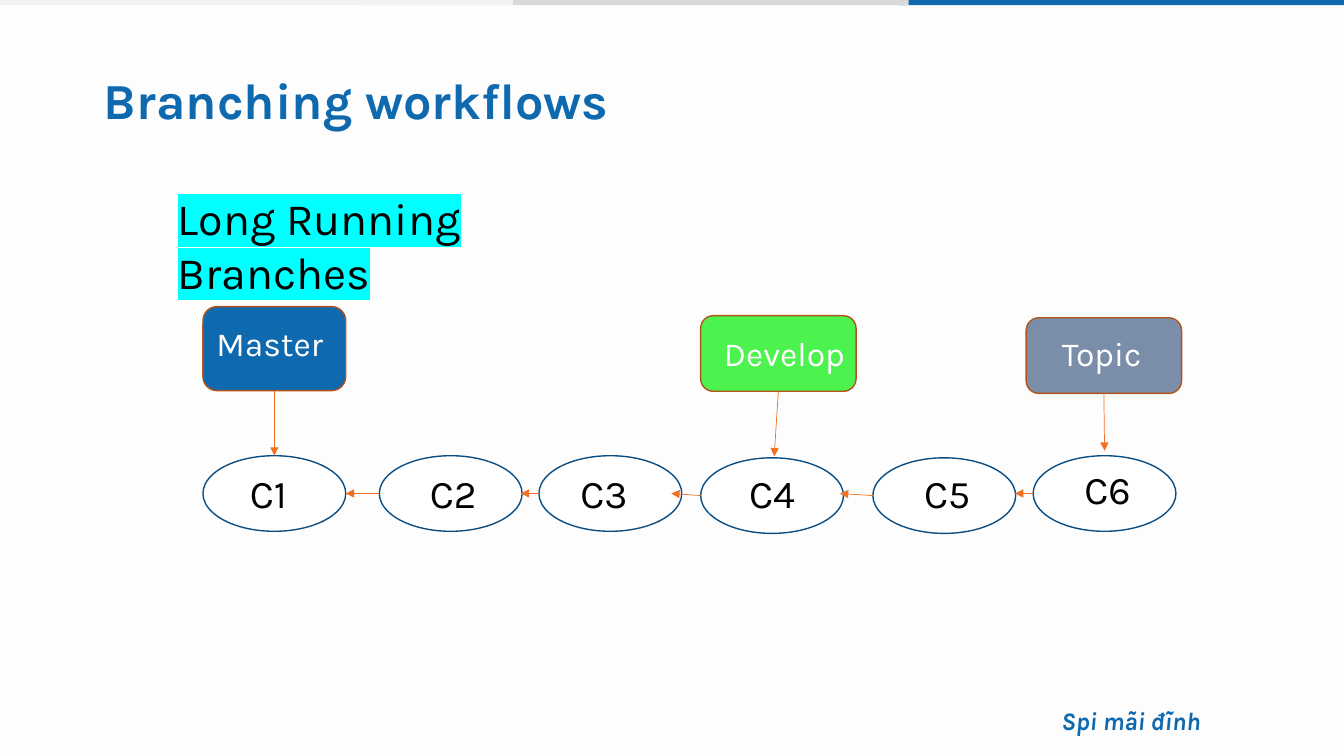
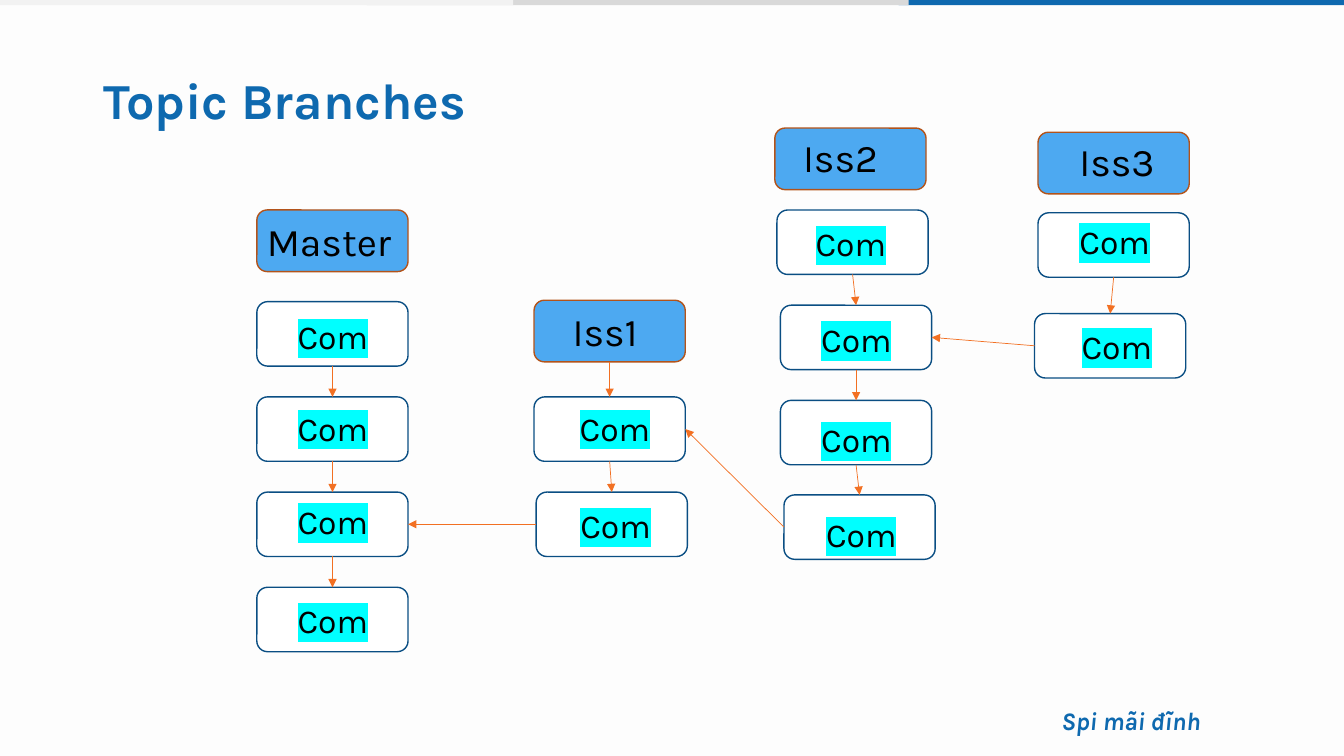
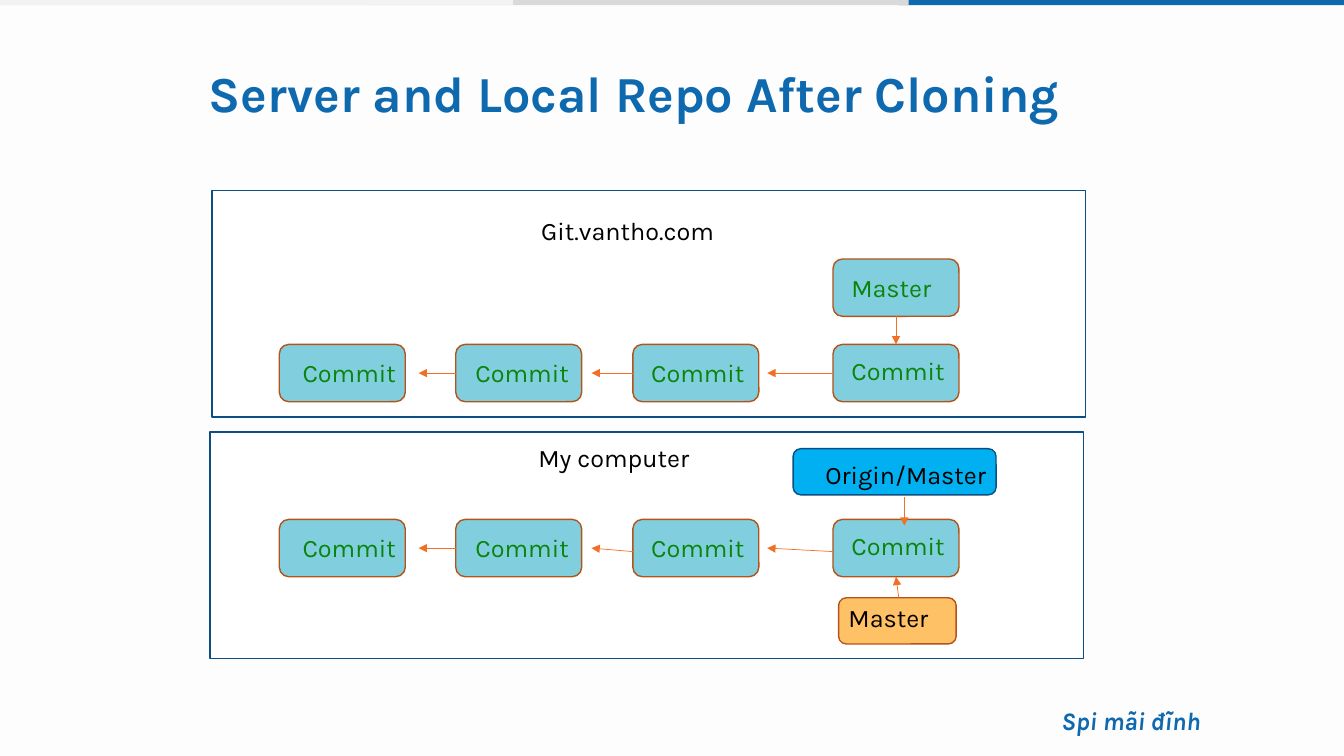
import pptx
import pptx.dml.color
import pptx.enum.shapes
import pptx.enum.text
import pptx.oxml.ns
import pptx.oxml.xmlchemy
import pptx.util
from lxml import etree
from dataclasses import dataclass
from typing import Any, List, NamedTuple, Optional, Tuple, Union

Pt = pptx.util.Pt
Kind = pptx.enum.shapes.MSO_SHAPE
qn = pptx.oxml.ns.qn

TOP, LEFT, BOTTOM, RIGHT = range(4)


# Theme
@dataclass(frozen=True)
class Theme:
    face: str = "Karla"
    paper: str = "FDFDFD"
    white: str = "FFFFFF"
    black: str = "000000"
    blue: str = "0E69AF"
    navy: str = "0A4E83"
    rust: str = "B3531A"
    orange: str = "F27023"
    silver: str = "D9D9D9"
    mist: str = "F2F2F2"
    cyan: str = "00FFFF"
    lime: str = "4CF24E"
    slate: str = "7A8EAA"
    sky: str = "4DA9F1"
    teal: str = "81CFDE"
    green: str = "0A840B"
    azure: str = "00B0F0"
    amber: str = "FFC165"
    title_size: float = 36
    heading_size: float = 32
    large_size: float = 28
    medium_size: float = 24
    small_size: float = 18


THEME = Theme()


# Records, with all lengths in points
class Area(NamedTuple):
    left: float
    top: float
    width: float
    height: float


class Point(NamedTuple):
    x: float
    y: float


class Joint(NamedTuple):
    shape: Any
    side: int


End = Union[Point, Joint]


@dataclass(frozen=True)
class Look:
    kind: Any
    fill: str
    line: Optional[str] = None


@dataclass(frozen=True)
class Type:
    size: float
    colour: str
    bold: bool = False
    italic: bool = False
    highlight: Optional[str] = None


class Node(NamedTuple):
    """A box with the place of its label."""
    left: float
    top: float
    label_left: float
    label_top: float


class Branch(NamedTuple):
    name: str
    head: Node
    label_width: float
    commits: List[Node]


class Tag(NamedTuple):
    text: str
    area: Area
    fill: str
    label: Area


COMMIT_OVAL = Look(Kind.OVAL, THEME.white, THEME.navy)
COMMIT_CARD = Look(Kind.ROUNDED_RECTANGLE, THEME.white, THEME.navy)
BRANCH_CARD = Look(Kind.ROUNDED_RECTANGLE, THEME.sky, THEME.rust)
REPO_CARD = Look(Kind.ROUNDED_RECTANGLE, THEME.teal, THEME.rust)
PANEL = Look(Kind.RECTANGLE, THEME.white, THEME.navy)

TITLE_TYPE = Type(THEME.title_size, THEME.blue, bold=True)
FOOTER_TYPE = Type(THEME.small_size, THEME.blue, bold=True, italic=True)
LARGE_TYPE = Type(THEME.large_size, THEME.black)
SMALL_TYPE = Type(THEME.small_size, THEME.black)
REPO_TYPE = Type(THEME.small_size, THEME.green)


# Drawing helpers
def rgb(value: str) -> Any:
    return pptx.dml.color.RGBColor.from_string(value)


def write(shape: Any, text: str, style: Type) -> None:
    para = shape.text_frame.paragraphs[0]
    para.alignment = pptx.enum.text.PP_ALIGN.LEFT
    span = para.add_run()
    span.text = text
    font = para.font
    font.name, font.size = THEME.face, Pt(style.size)
    font.bold, font.italic = style.bold, style.italic
    font.color.rgb = rgb(style.colour)
    if style.highlight:
        properties = shape.element.xpath(".//a:r")[0].get_or_add_rPr()
        mark = etree.SubElement(properties, qn("a:highlight"))
        etree.SubElement(mark, qn("a:srgbClr"), val=style.highlight)


def draw_shape(page: Any, area: Area, look: Look) -> Any:
    shape = page.shapes.add_shape(look.kind, *map(Pt, area))
    shape.shadow.inherit = False
    shape.fill.solid()
    shape.fill.fore_color.rgb = rgb(look.fill)
    if look.line:
        shape.line.color.rgb = rgb(look.line)
        shape.line.width = Pt(1)
    else:
        shape.line.fill.background()
    return shape


def draw_label(page: Any, text: str, area: Area, style: Type) -> Any:
    box = page.shapes.add_textbox(*map(Pt, area))
    box.text_frame.word_wrap = True
    box.text_frame.auto_size = pptx.enum.text.MSO_AUTO_SIZE.SHAPE_TO_FIT_TEXT
    write(box, text, style)
    return box


def side_point(shape: Any, side: int) -> Point:
    across = {LEFT: 0, RIGHT: 1}.get(side, 0.5)
    down = {TOP: 0, BOTTOM: 1}.get(side, 0.5)
    return Point(shape.left.pt + shape.width.pt * across,
                 shape.top.pt + shape.height.pt * down)


def draw_arrow(page: Any, start: End, end: End) -> None:
    places = [side_point(*stop) if isinstance(stop, Joint) else stop
              for stop in (start, end)]
    arrow = page.shapes.add_connector(
        pptx.enum.shapes.MSO_CONNECTOR.STRAIGHT,
        *(Pt(length) for place in places for length in place))
    if isinstance(start, Joint):
        arrow.begin_connect(*start)
    if isinstance(end, Joint):
        arrow.end_connect(*end)
    arrow.line.color.rgb = rgb(THEME.orange)
    arrow.line.width = Pt(0.5)
    properties = arrow.element.spPr
    etree.SubElement(properties.find(qn("a:ln")), qn("a:tailEnd"), type="triangle")
    etree.SubElement(properties, qn("a:effectLst"))


# Shared parts
def add_bands(deck: Any, page: Any) -> None:
    """Draw the top bands once and move them to the slide master."""
    bands = ((642, 318, THEME.blue), (262, 387, THEME.silver), (0, 366.5, THEME.mist))
    tree = deck.slide_master.element.cSld.spTree
    for number, (left, width, colour) in enumerate(bands, start=100):
        band = draw_shape(page, Area(left, 0, width, 3.6), Look(Kind.RECTANGLE, colour))
        band.element.nvSpPr.cNvPr.set("id", str(number))
        tree.append(band.element)


def add_page(deck: Any, title: str, left: float = 67, top: float = 34.5) -> Any:
    page = deck.slides.add_slide(deck.slide_layouts.get_by_name("Title Only"))
    holder = page.shapes.title
    holder.left, holder.top, holder.width, holder.height = map(Pt, (left, top, 828, 79))
    frame = holder.text_frame
    frame.word_wrap = True
    frame.auto_size = pptx.enum.text.MSO_AUTO_SIZE.NONE
    frame.vertical_anchor = pptx.enum.text.MSO_ANCHOR.MIDDLE
    write(holder, title, TITLE_TYPE)
    frame.paragraphs[0].line_spacing = 0.9
    draw_label(page, "Spi mãi đĩnh", Area(751, 500.5, 178.5, 29), FOOTER_TYPE)
    return page


# Slide 1: long running branches
def build_workflows(deck: Any) -> Any:
    page = add_page(deck, "Branching workflows")
    draw_label(page, "Long Running Branches", Area(120, 132.5, 360, 46),
               Type(THEME.heading_size, THEME.black, highlight=THEME.cyan))

    commits = [Node(145, 325.5, 171.5, 332), Node(271, 325.5, 300, 332),
               Node(385, 325.5, 407.5, 332), Node(500.5, 327, 528, 332),
               Node(623.5, 327, 653, 332), Node(738, 325.5, 767.5, 329)]
    ovals, labels = [], []
    for number, node in enumerate(commits, start=1):
        ovals.append(draw_shape(page, Area(node.left, node.top, 102, 54), COMMIT_OVAL))
        labels.append(draw_label(page, f"C{number}",
                                 Area(node.label_left, node.label_top, 72, 41), LARGE_TYPE))

    targets = [side_point(ovals[0], RIGHT)] + [Joint(label, RIGHT) for label in labels[1:]]
    for oval, target in zip(ovals[1:], targets):
        draw_arrow(page, side_point(oval, LEFT), target)

    tags = [Tag("Master", Area(145, 219, 102, 60), THEME.blue, Area(147.5, 227, 102, 36)),
            Tag("Develop", Area(500.5, 225.5, 111, 54), THEME.lime, Area(510, 234, 108, 36)),
            Tag("Topic", Area(733, 227, 111, 54), THEME.slate, Area(751.5, 234, 75, 36))]
    tips = [side_point(ovals[0], TOP), Point(553, 326), Point(789, 322)]
    for tag, tip in zip(tags, tips):
        card = draw_shape(page, tag.area, Look(Kind.ROUNDED_RECTANGLE, tag.fill, THEME.rust))
        draw_label(page, tag.text, tag.label, Type(THEME.medium_size, THEME.white))
        draw_arrow(page, Joint(card, BOTTOM), tip)
    return page


# Slide 2: topic branches
def build_topics(deck: Any) -> None:
    page = add_page(deck, "Topic Branches")
    master_label_tops = (222, 287.5, 354, 425)
    branches = [
        Branch("Master", Node(183.5, 150, 183.5, 152), 106,
               [Node(183.5, 215.5 + 68 * row, 205.5, label_top)
                for row, label_top in enumerate(master_label_tops)]),
        Branch("Iss1", Node(381.5, 214.5, 402, 216), 78,
               [Node(381.5, 283.5, 407, 287.5), Node(383, 351.5, 407.5, 357)]),
        Branch("Iss2", Node(553.5, 91.5, 566.5, 92), 112,
               [Node(555, 150, 575.5, 156), Node(557.5, 218, 579.5, 224),
                Node(557.5, 286, 579.5, 296), Node(560, 353.5, 583, 363.5)]),
        Branch("Iss3", Node(741.5, 94.5, 764, 94.5), 125,
               [Node(741.5, 152, 764, 154), Node(739, 224, 765.5, 229)]),
    ]
    commit_type = Type(THEME.medium_size, THEME.black, highlight=THEME.cyan)
    heads, columns = {}, {}
    for name, head, label_width, commits in branches:
        heads[name] = draw_shape(page, Area(head.left, head.top, 108, 44), BRANCH_CARD)
        draw_label(page, name, Area(head.label_left, head.label_top, label_width, 41),
                   LARGE_TYPE)
        cards = columns[name] = []
        for node in commits:
            cards.append(draw_shape(page, Area(node.left, node.top, 108, 46), COMMIT_CARD))
            draw_label(page, "Com", Area(node.label_left, node.label_top, 78, 36), commit_type)
        for upper, lower in zip(cards, cards[1:]):
            draw_arrow(page, Joint(upper, BOTTOM), Joint(lower, TOP))

    # Arrows between branches
    draw_arrow(page, Joint(heads["Iss1"], BOTTOM), Joint(columns["Iss1"][0], TOP))
    for source, source_row, target, target_row in (
            ("Iss1", 1, "Master", 2), ("Iss2", 3, "Iss1", 0), ("Iss3", 1, "Iss2", 1)):
        draw_arrow(page, Joint(columns[source][source_row], LEFT),
                   Joint(columns[target][target_row], RIGHT))


# Slide 3: server and local repository
def draw_commit_row(page: Any, top: float) -> Tuple[List[Any], List[Any]]:
    nodes = [Node(199.5, top, 209, top + 6), Node(325.5, top, 332.5, top + 6),
             Node(452, top, 458, top + 6), Node(595, top, 601, top + 4.5)]
    cards, labels = [], []
    for node in nodes:
        cards.append(draw_shape(page, Area(node.left, node.top, 90, 41), REPO_CARD))
        labels.append(draw_label(page, "Commit",
                                 Area(node.label_left, node.label_top, 90, 29), REPO_TYPE))
    return cards, labels


def build_cloning(deck: Any) -> None:
    page = add_page(deck, "Server and Local Repo After Cloning", left=142, top=29)

    # Server
    draw_shape(page, Area(151.5, 136, 624, 162), PANEL)
    draw_label(page, "Git.vantho.com", Area(379.5, 150, 192, 29), SMALL_TYPE)
    cards, labels = draw_commit_row(page, 246)
    master = draw_shape(page, Area(595, 185, 90, 41), REPO_CARD)
    draw_label(page, "Master", Area(601, 191, 90, 29), REPO_TYPE)
    draw_arrow(page, Joint(master, BOTTOM), Joint(cards[-1], TOP))
    for card, label in zip(cards[1:], labels):
        draw_arrow(page, Joint(card, LEFT), Joint(label, RIGHT))

    # Local computer
    draw_shape(page, Area(150, 308.5, 624, 162), PANEL)
    draw_label(page, "My computer", Area(377.5, 312.5, 192, 29), SMALL_TYPE)
    cards, labels = draw_commit_row(page, 371)
    draw_shape(page, Area(566.5, 320.5, 145, 33),
               Look(Kind.ROUNDED_RECTANGLE, THEME.azure, THEME.navy))
    draw_label(page, "Origin/Master", Area(582.5, 324.5, 145, 29), SMALL_TYPE)
    draw_shape(page, Area(599, 427, 84, 33),
               Look(Kind.ROUNDED_RECTANGLE, THEME.amber, THEME.rust))
    local_master = draw_label(page, "Master", Area(599, 427, 86, 29), SMALL_TYPE)
    draw_arrow(page, Point(646, 355), Joint(labels[-1], TOP))
    draw_arrow(page, Joint(local_master, TOP), Joint(cards[-1], BOTTOM))
    starts = [Joint(cards[1], LEFT), Point(452, 394), Point(595, 394)]
    for start, label in zip(starts, labels):
        draw_arrow(page, start, Joint(label, RIGHT))


def main() -> None:
    deck = pptx.Presentation()
    deck.slide_width, deck.slide_height = Pt(960), Pt(540)
    backdrop = deck.slide_master.background.fill
    backdrop.solid()
    backdrop.fore_color.rgb = rgb(THEME.paper)
    add_bands(deck, build_workflows(deck))
    build_topics(deck)
    build_cloning(deck)
    deck.save("out.pptx")


if __name__ == "__main__":
    main()
